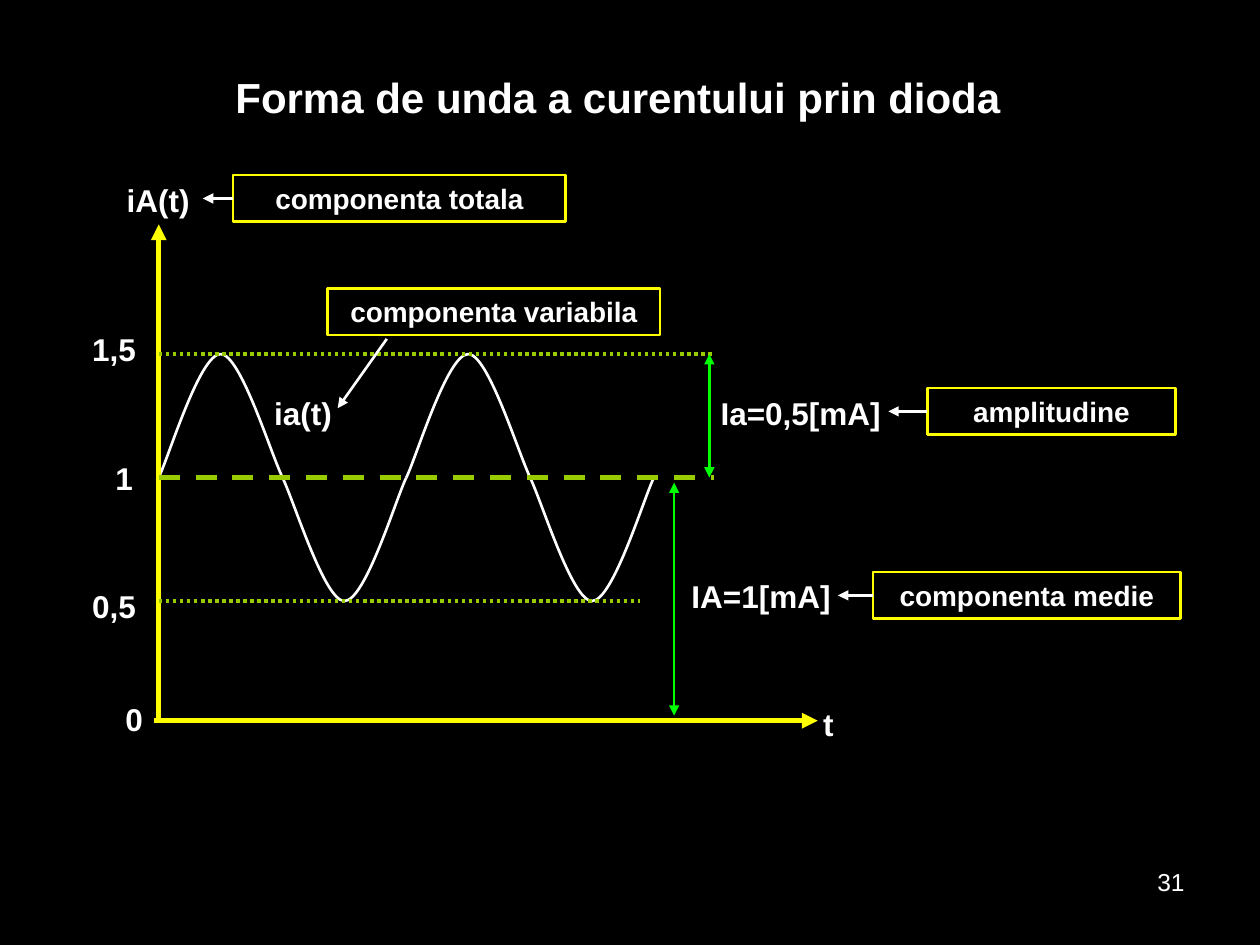
"""Build the slide on the waveform of the current through a diode."""
from lxml.etree import SubElement
from pptx import Presentation
from pptx.dml.color import RGBColor
from pptx.enum.dml import MSO_LINE_DASH_STYLE as Dash
from pptx.enum.shapes import MSO_CONNECTOR as Link, MSO_SHAPE as Shape
from pptx.enum.text import MSO_ANCHOR as Anchor, PP_ALIGN as Align
from pptx.oxml.ns import qn
from pptx.util import Inches, Pt

WHITE, BLACK, YELLOW, OLIVE, GREEN = "FFFFFF", "000000", "FFFF00", "99CC00", "00FF00"
ORIGIN_X, MEAN_Y, AMPLITUDE, ZERO_Y = 1.26, 3.79, 0.98, 5.72
TOP_Y, BOTTOM_Y = MEAN_Y - AMPLITUDE, MEAN_Y + AMPLITUDE
HALF_PERIOD = (5.19 - ORIGIN_X) / 4
LEVEL_END, BOX_HEIGHT = 5.67, 0.37

TITLE = "Forma de unda a curentului prin dioda"
LABELS = [
    ("0", 0.75, 5.51, 0.63),
    ("1", 0.67, 3.59, 0.63),
    ("0,5", 0.59, 4.61, 0.63),
    ("1,5", 0.59, 2.57, 0.63),
    ("iA(t)", 0.86, 1.39, 0.79),
    ("ia(t)", 2.01, 3.08, 0.79),
    ("IA=1[mA]", 5.35, 4.53, 1.38),
    ("Ia=0,5[mA]", 5.51, 3.08, 1.69),
    ("t", 6.18, 5.55, 0.79),
]
CALLOUTS = [
    ("componenta totala", 1.85, 1.39, 2.64, 1.61),
    ("componenta variabila", 2.6, 2.29, 2.64, None),
    ("componenta medie", 6.93, 4.54, 2.44, 6.65),
    ("amplitudine", 7.36, 3.08, 1.97, 7.05),
]
ARCH = [(0, 0), (0.08, 0.16), (0.33, 1), (0.5, 1), (0.66, 1), (0.9, 0.21), (1, 0)]
LINES = [
    ((ORIGIN_X, ZERO_Y), (ORIGIN_X, 1.78), YELLOW, 3, None, ["tail"]),
    ((1.22, ZERO_Y), (6.49, ZERO_Y), YELLOW, 3, None, ["tail"]),
    ((ORIGIN_X, MEAN_Y), (LEVEL_END, MEAN_Y), OLIVE, 3, Dash.DASH, []),
    ((ORIGIN_X, TOP_Y), (LEVEL_END, TOP_Y), OLIVE, 2, Dash.ROUND_DOT, []),
    ((ORIGIN_X, BOTTOM_Y), (5.08, BOTTOM_Y), OLIVE, 2, Dash.ROUND_DOT, []),
    ((5.35, 3.83), (5.35, 5.68), GREEN, 1.5, None, ["head", "tail"]),
    ((5.63, TOP_Y), (5.63, MEAN_Y), GREEN, 1.5, None, ["head", "tail"]),
    ((3.07, 2.69), (2.68, 3.24), WHITE, 1.5, None, ["tail"]),
]


def color(value):
    return RGBColor.from_string(value)


def write(box, text, size=18, bold=True, align=Align.CENTER, anchor=Anchor.TOP):
    frame = box.text_frame
    frame.word_wrap = True
    frame.vertical_anchor = anchor
    para = frame.paragraphs[0]
    para.alignment = align
    span = para.add_run()
    span.text = text
    span.font.name = "Arial"
    span.font.size = Pt(size)
    span.font.bold = bold
    span.font.color.rgb = color(WHITE)


def add_text(page, text, left, top, width, height=0.4, **style):
    box = page.shapes.add_textbox(*map(Inches, (left, top, width, height)))
    write(box, text, **style)


def add_line(page, start, end, stroke=WHITE, weight=1.5, dash=None, arrows=("tail",)):
    line = page.shapes.add_connector(Link.STRAIGHT, *map(Inches, start + end))
    line.line.color.rgb = color(stroke)
    line.line.width = Pt(weight)
    if dash:
        line.line.dash_style = dash
    outline = line.line._get_or_add_ln()
    for arrow in arrows:
        SubElement(outline, qn(f"a:{arrow}End"), type="triangle")
    SubElement(line._element.spPr, qn("a:effectLst"))
    return line


def add_callout(page, text, left, top, width, arrow_end):
    box = page.shapes.add_shape(Shape.RECTANGLE, *map(Inches, (left, top, width, BOX_HEIGHT)))
    box.shadow.inherit = False
    box.fill.background()
    box.line.color.rgb = color(YELLOW)
    box.line.width = Pt(1.5)
    write(box, text, size=16)
    if arrow_end:
        middle = top + BOX_HEIGHT / 2
        arrow = add_line(page, (left, middle), (arrow_end, middle))
        arrow.begin_connect(box, 1)


def add_half_wave(page, index):
    left = ORIGIN_X + index * HALF_PERIOD
    points = []
    for across, up in ARCH:
        if index % 2:
            across, up = 1 - across, -up
        points.append((Inches(left + across * HALF_PERIOD), Inches(MEAN_Y - up * AMPLITUDE)))
    builder = page.shapes.build_freeform(*points[0])
    builder.add_line_segments(points[1:], close=False)
    wave = builder.convert_to_shape()
    wave.shadow.inherit = False
    wave.fill.background()
    wave.line.color.rgb = color(WHITE)
    wave.line.width = Pt(1.5)
    outline = wave._element.xpath(".//a:path")[0]
    segments = outline.findall(qn("a:lnTo"))
    for first in range(0, len(segments), 3):
        curve = SubElement(outline, qn("a:cubicBezTo"))
        for segment in segments[first:first + 3]:
            curve.append(segment[0])
            outline.remove(segment)


def main():
    deck = Presentation()
    deck.slide_width, deck.slide_height = Inches(10), Inches(7.5)
    page = deck.slides.add_slide(deck.slide_layouts[6])
    page.background.fill.solid()
    page.background.fill.fore_color.rgb = color(BLACK)
    add_text(page, "31", 7.17, 6.83, 2.33, 0.52, size=14, bold=False, align=Align.RIGHT)
    for index in range(4):
        add_half_wave(page, index)
    for line in LINES:
        add_line(page, *line)
    for label in LABELS:
        add_text(page, *label)
    for callout in CALLOUTS:
        add_callout(page, *callout)
    add_text(page, TITLE, 1.77, 0.52, 6.46, 0.5, size=24, align=Align.LEFT, anchor=Anchor.MIDDLE)
    deck.save("out.pptx")


if __name__ == "__main__":
    main()
